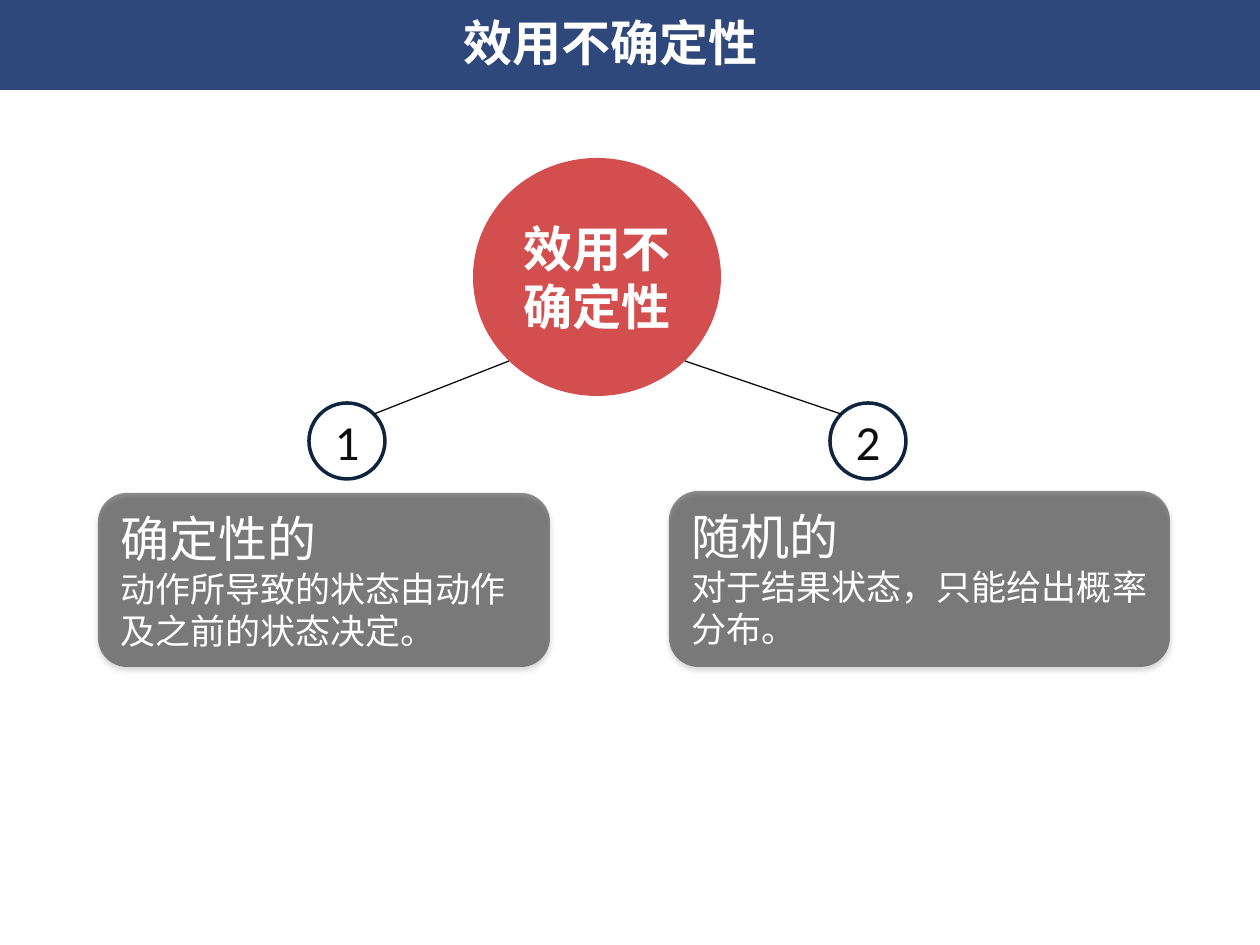
from lxml import etree
from pptx import Presentation
from pptx.dml.color import RGBColor
from pptx.enum.shapes import MSO_CONNECTOR, MSO_SHAPE
from pptx.enum.text import MSO_ANCHOR, MSO_AUTO_SIZE, PP_ALIGN
from pptx.oxml.ns import qn
from pptx.util import Emu, Pt

RECT, OVAL, ROUNDED = MSO_SHAPE.RECTANGLE, MSO_SHAPE.OVAL, MSO_SHAPE.ROUNDED_RECTANGLE
STRAIGHT = MSO_CONNECTOR.STRAIGHT
TOP, MIDDLE = MSO_ANCHOR.TOP, MSO_ANCHOR.MIDDLE
LEFT, CENTER = PP_ALIGN.LEFT, PP_ALIGN.CENTER
GROW = MSO_AUTO_SIZE.SHAPE_TO_FIT_TEXT

NAVY = RGBColor(0x00, 0x20, 0x60)
RED = RGBColor(0xC0, 0x00, 0x00)
BLACK = RGBColor(0x00, 0x00, 0x00)
INK = RGBColor(0x0D, 0x0D, 0x0D)
RING = RGBColor(0x0F, 0x24, 0x3E)
WHITE = RGBColor(0xFF, 0xFF, 0xFF)

CJK, LATIN = "Noto Sans CJK SC", "Calibri"
TOPIC = "效用不确定性"
DIAGONAL = 0.146

HEADER = (0, -4, 1260, 94)
HUB = (473, 158, 248, 238)
BRANCHES = [
    ("1", (309, 403, 76, 76), (98, 493, 452, 174),
     "确定性的", "动作所导致的状态由动作及之前的状态决定。"),
    ("2", (830, 403, 76, 76), (669, 491, 501, 176),
     "随机的", "对于结果状态，只能给出概率分布。"),
]


def px(value):
    return Emu(round(value * 914400 / 126))


def place(shape, box):
    shape.left, shape.top, shape.width, shape.height = map(px, box)


def write(shape, lines, sizes=(28,), font=CJK, color=WHITE, bold=False,
          align=CENTER, anchor=MIDDLE, fit=None):
    frame = shape.text_frame
    frame.word_wrap = True
    frame.vertical_anchor = anchor
    if fit is not None:
        frame.auto_size = fit
    for index, (line, size) in enumerate(zip(lines, sizes)):
        paragraph = frame.paragraphs[0] if index == 0 else frame.add_paragraph()
        paragraph.alignment = align
        run = paragraph.add_run()
        run.text = line
        run.font.name = font
        run.font.size = Pt(size)
        run.font.bold = bold
        run.font.color.rgb = color
        east_asian = etree.SubElement(run.font._element, qn("a:ea"))
        east_asian.set("typeface", font)


def add_alpha(color_element, percent):
    etree.SubElement(color_element, qn("a:alpha")).set("val", str(percent * 1000))


def add_panel(slide, kind, box, fill=None, opacity=100):
    panel = slide.shapes.add_shape(kind, *map(px, box))
    panel.shadow.inherit = False
    panel.line.fill.background()
    if fill is None:
        panel.fill.background()
    else:
        panel.fill.solid()
        panel.fill.fore_color.rgb = fill
        color = panel._element.spPr.find(qn("a:solidFill")).find(qn("a:srgbClr"))
        add_alpha(color, opacity)
    return panel


def add_soft_shadow(panel):
    effects = panel._element.spPr.find(qn("a:effectLst"))
    shadow = etree.SubElement(effects, qn("a:outerShdw"), blurRad=str(Pt(3.1)),
                              dist=str(Pt(1.8)), dir="5400000", rotWithShape="0")
    add_alpha(etree.SubElement(shadow, qn("a:srgbClr"), val=str(BLACK)), 35)


def add_header(slide, box):
    left, top, width, height = box
    band = add_panel(slide, RECT, box, NAVY, 82)
    slide.shapes._spTree.insert(2, band._element)
    title = slide.shapes.title
    place(title, (left + 84, top + 10, width - 207, height - 22))
    write(title, [TOPIC], bold=True, anchor=TOP, fit=GROW)


def add_hub(slide, box):
    write(add_panel(slide, OVAL, box, RED, 69), [TOPIC], bold=True)


def add_node(slide, box, number):
    node = add_panel(slide, OVAL, box)
    node.line.color.rgb = RING
    node.line.width = Pt(2)
    write(node, [number], font=LATIN, color=INK)


def oval_corner(box, right, bottom):
    left, top, width, height = box
    across = 1 - DIAGONAL if right else DIAGONAL
    down = 1 - DIAGONAL if bottom else DIAGONAL
    return round(left + width * across), round(top + height * down)


def add_link(slide, hub, node):
    on_right = node[0] > hub[0]
    start = oval_corner(hub, on_right, True)
    end = oval_corner(node, not on_right, False)
    link = slide.shapes.add_connector(STRAIGHT, *map(px, start + end))
    link.line.color.rgb = INK
    link.line.width = Pt(0.75)
    etree.SubElement(link._element.spPr, qn("a:effectLst"))


def add_card(slide, box, heading, detail):
    left, top, width, height = box
    add_soft_shadow(add_panel(slide, ROUNDED, box, BLACK, 44))
    words = slide.shapes.add_textbox(
        *map(px, (left + 10, top + 9, width - 10, height - 17)))
    write(words, [heading, detail], sizes=(28, 20), align=LEFT, anchor=TOP, fit=GROW)


def main():
    deck = Presentation()
    deck.slide_width, deck.slide_height = px(1260), px(945)
    slide = deck.slides.add_slide(deck.slide_layouts[5])
    add_header(slide, HEADER)
    add_hub(slide, HUB)
    for number, node, card, heading, detail in BRANCHES:
        add_node(slide, node, number)
        add_link(slide, HUB, node)
        add_card(slide, card, heading, detail)
    deck.save("out.pptx")


if __name__ == "__main__":
    main()
